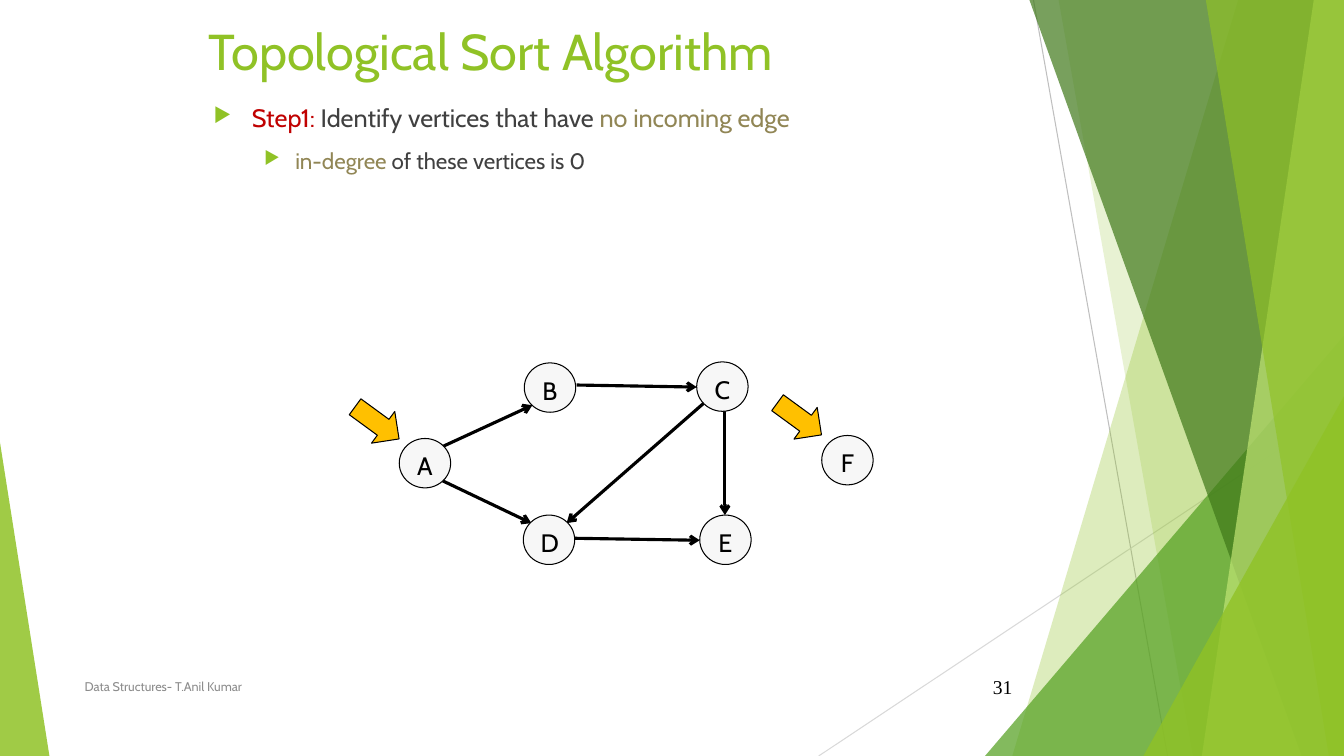
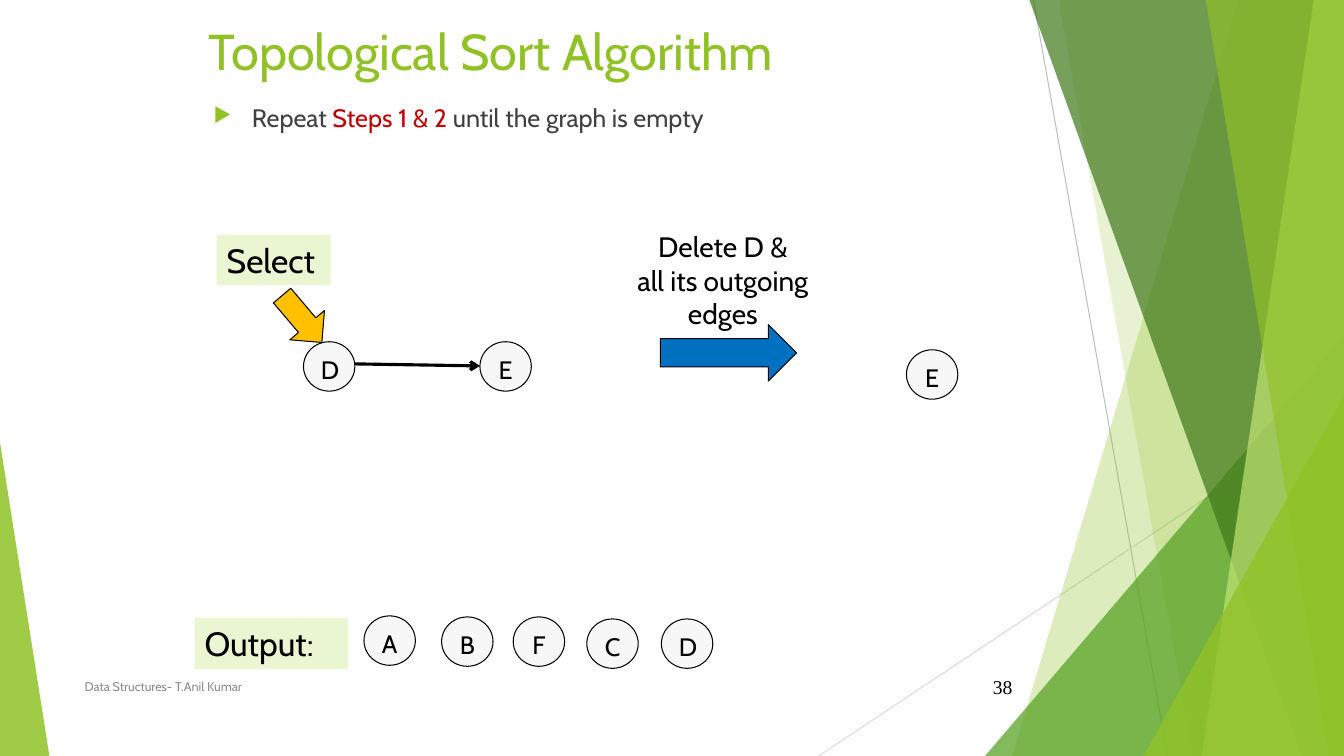
"""Builds two slides on the topological sort algorithm."""
from lxml.etree import SubElement
from pptx import Presentation
from pptx.dml.color import RGBColor
from pptx.enum.shapes import MSO_CONNECTOR, MSO_SHAPE
from pptx.enum.text import MSO_ANCHOR, PP_ALIGN
from pptx.oxml.ns import qn
from pptx.util import Inches, Pt

COLORS = {
    "green": "90C226", "mid": "54A021", "dark": "3F7819", "pale": "C0E474",
    "label": "EAF6D1", "node": "F7F7F7", "gold": "FFC000", "blue": "0070C0",
    "red": "C00000", "olive": "918655", "body": "404040", "footer": "8C8C8C",
    "black": "000000", "ray": "BFBFBF", "faint": "D9D9D9",
}
RGB = {name: RGBColor.from_string(value) for name, value in COLORS.items()}
WIDTH, HEIGHT = 13.33, 7.5
NODE_WIDTH, NODE_HEIGHT = 0.51, 0.49

RAYS = [
    (10.25, 0, 11.58, 7.5, "ray"),
    (13.33, 4.03, 8.12, 7.5, "faint"),
]
FACETS = [
    ("band", (12.28, 10.04), "green", 30),
    ("band", (10.5, 11.83), "green", 20),
    ("triangle", (9.77, 3.33, 3.56, 1), "mid", 72),
    ("band", (10.21, 12.91), "dark", 70),
    ("band", (13.03, 11.92), "pale", 70),
    ("band", (11.96, 13.18), "green", 65),
    ("triangle", (11.34, 3.93, 1.99, 1), "green", 80),
    ("triangle", (0, 4.39, 0.49, 0), "green", 85),
]
TITLE = {"size": 36, "color": "green"}
FOOTER = {"size": 9, "color": "footer", "anchor": MSO_ANCHOR.MIDDLE}
PAGE_NUMBER = {"size": 14, "font": "Times New Roman", "align": PP_ALIGN.RIGHT,
               "anchor": MSO_ANCHOR.MIDDLE}
BULLET_LEVELS = [
    {"size": 18, "indent": 0.38, "hanging": 0.38},
    {"size": 16, "indent": 0.81, "hanging": 0.31},
]

STEPS = [
    {
        "number": "31",
        "bullets": [
            (0, [("Step1: ", "red"), ("Identify vertices that have ", "body"),
                 ("no incoming edge", "olive")]),
            (1, [("in-degree", "olive"), (" of these vertices is 0", "body")]),
        ],
        "nodes": [("A", 3.96, 4.35), ("B", 5.2, 3.6), ("C", 6.91, 3.59),
                  ("D", 5.19, 5.11), ("F", 8.15, 4.32), ("E", 6.94, 5.11)],
        "edges": [(4.39, 4.43, 5.28, 4.02), (5.72, 3.82, 6.91, 3.84),
                  (7.19, 4.06, 7.19, 5.11), (4.39, 4.77, 5.27, 5.19),
                  (5.68, 5.34, 6.94, 5.36), (6.98, 4, 5.62, 5.19)],
        "pointers": [((3.47, 4, 0.54, 0.39), 36.2, "gold"),
                     ((7.66, 3.96, 0.54, 0.39), 36.2, "gold")],
        "labels": [],
        "captions": [],
    },
    {
        "number": "38",
        "bullets": [
            (0, [("Repeat ", "body"), ("Steps 1 & 2", "red"),
                 (" until the graph is empty", "body")]),
        ],
        "nodes": [("A", 3.61, 6.11), ("B", 4.38, 6.12), ("F", 5.09, 6.12),
                  ("C", 5.82, 6.14), ("D", 6.56, 6.14), ("E", 8.99, 3.47),
                  ("D", 3.01, 3.39), ("E", 4.76, 3.39)],
        "edges": [(3.51, 3.61, 4.76, 3.63)],
        "pointers": [((2.69, 2.94, 0.61, 0.45), 49.7, "gold"),
                     ((6.55, 3.22, 1.35, 0.56), 0, "blue")],
        "labels": [("Output:", (1.93, 6.13, 1.52, 0.51)),
                   ("Select", (2.15, 2.33, 1.13, 0.5))],
        "captions": [(["Delete D &", "all its outgoing", "edges"],
                      (6.07, 2.23, 2.2, 1.11))],
    },
]


def write(shape, lines, size=18, color="black", font="Cabin",
          align=PP_ALIGN.LEFT, anchor=MSO_ANCHOR.TOP):
    """Fill a shape with lines, each a string or a list of (text, color)."""
    frame = shape.text_frame
    frame.word_wrap = True
    frame.vertical_anchor = anchor
    for index, line in enumerate(lines):
        paragraph = frame.paragraphs[0] if index == 0 else frame.add_paragraph()
        paragraph.alignment = align
        for text, tint in [(line, color)] if isinstance(line, str) else line:
            run = paragraph.add_run()
            run.text = text
            style = {"name": font, "size": Pt(size)}
            for key, value in style.items():
                setattr(run.font, key, value)
            run.font.color.rgb = RGB[tint]


def paint(shape, fill, line=None, opacity=100):
    """Give a shape its fill, outline and opacity."""
    shape.shadow.inherit = False
    shape.fill.solid()
    shape.fill.fore_color.rgb = RGB[fill]
    if opacity < 100:
        solid = shape.fill._xPr.find(qn("a:solidFill"))
        SubElement(solid[0], qn("a:alpha"), val=str(opacity * 1000))
    if line:
        shape.line.color.rgb = RGB[line]
        shape.line.width = Pt(0.75)
    else:
        shape.line.fill.background()


presentation = Presentation()
presentation.slide_width = Inches(WIDTH)
presentation.slide_height = Inches(HEIGHT)

for step in STEPS:
    shapes = presentation.slides.add_slide(presentation.slide_layouts[6]).shapes

    strokes = [(ray[:4], ray[4], 0.75, False) for ray in RAYS]
    strokes += [(edge, "black", 2.25, True) for edge in step["edges"]]
    for ends, color, weight, has_head in strokes:
        stroke = shapes.add_connector(MSO_CONNECTOR.STRAIGHT, *map(Inches, ends))
        stroke.line.color.rgb = RGB[color]
        stroke.line.width = Pt(weight)
        if has_head:
            SubElement(stroke.line._get_or_add_ln(), qn("a:tailEnd"), type="arrow")
        SubElement(stroke._element.spPr, qn("a:effectLst"))

    for kind, geometry, color, opacity in FACETS:
        if kind == "band":
            top_x, bottom_x = geometry
            corners = [(WIDTH, 0), (WIDTH, HEIGHT), (bottom_x, HEIGHT)]
            outline = shapes.build_freeform(Inches(top_x), 0)
            outline.add_line_segments([(Inches(x), Inches(y)) for x, y in corners])
            facet = outline.convert_to_shape()
        else:
            left, top, width, apex = geometry
            facet = shapes.add_shape(
                MSO_SHAPE.ISOSCELES_TRIANGLE,
                *map(Inches, (left, top, width, HEIGHT - top)))
            facet.adjustments[0] = apex
        paint(facet, color, opacity=opacity)

    texts = [
        (["Topological Sort Algorithm"], (1.97, 0.15, 9.54, 0.76), TITLE),
        (["Data Structures- T.Anil Kumar"], (0.74, 6.61, 6.89, 0.4), FOOTER),
        ([step["number"]], (9.39, 6.61, 0.75, 0.4), PAGE_NUMBER),
    ]
    texts += [(lines, box, {"size": 20, "align": PP_ALIGN.CENTER})
              for lines, box in step["captions"]]
    for lines, box, style in texts:
        write(shapes.add_textbox(*map(Inches, box)), lines, **style)

    body = shapes.add_textbox(*map(Inches, (2.02, 0.97, 9.41, 0.8)))
    write(body, [runs for _, runs in step["bullets"]])
    for paragraph, (depth, _) in zip(body.text_frame.paragraphs, step["bullets"]):
        level = BULLET_LEVELS[depth]
        paragraph.level = depth
        paragraph.space_before = Pt(10)
        for run in paragraph.runs:
            run.font.size = Pt(level["size"])
        properties = paragraph._p.get_or_add_pPr()
        properties.set("marL", str(Inches(level["indent"])))
        properties.set("indent", str(-Inches(level["hanging"])))
        bullet_color = SubElement(properties, qn("a:buClr"))
        SubElement(bullet_color, qn("a:srgbClr"), val=COLORS["green"])
        SubElement(properties, qn("a:buSzPct"), val="80000")
        SubElement(properties, qn("a:buChar"), char="▶")

    for letter, left, top in step["nodes"]:
        node = shapes.add_shape(
            MSO_SHAPE.OVAL, *map(Inches, (left, top, NODE_WIDTH, NODE_HEIGHT)))
        paint(node, "node", "black")
        write(node, [letter], align=PP_ALIGN.CENTER)

    for box, angle, color in step["pointers"]:
        pointer = shapes.add_shape(MSO_SHAPE.RIGHT_ARROW, *map(Inches, box))
        pointer.rotation = angle
        paint(pointer, color, "black")

    for text, box in step["labels"]:
        label = shapes.add_shape(MSO_SHAPE.RECTANGLE, *map(Inches, box))
        paint(label, "label")
        write(label, [text], size=24)

presentation.save("out.pptx")
